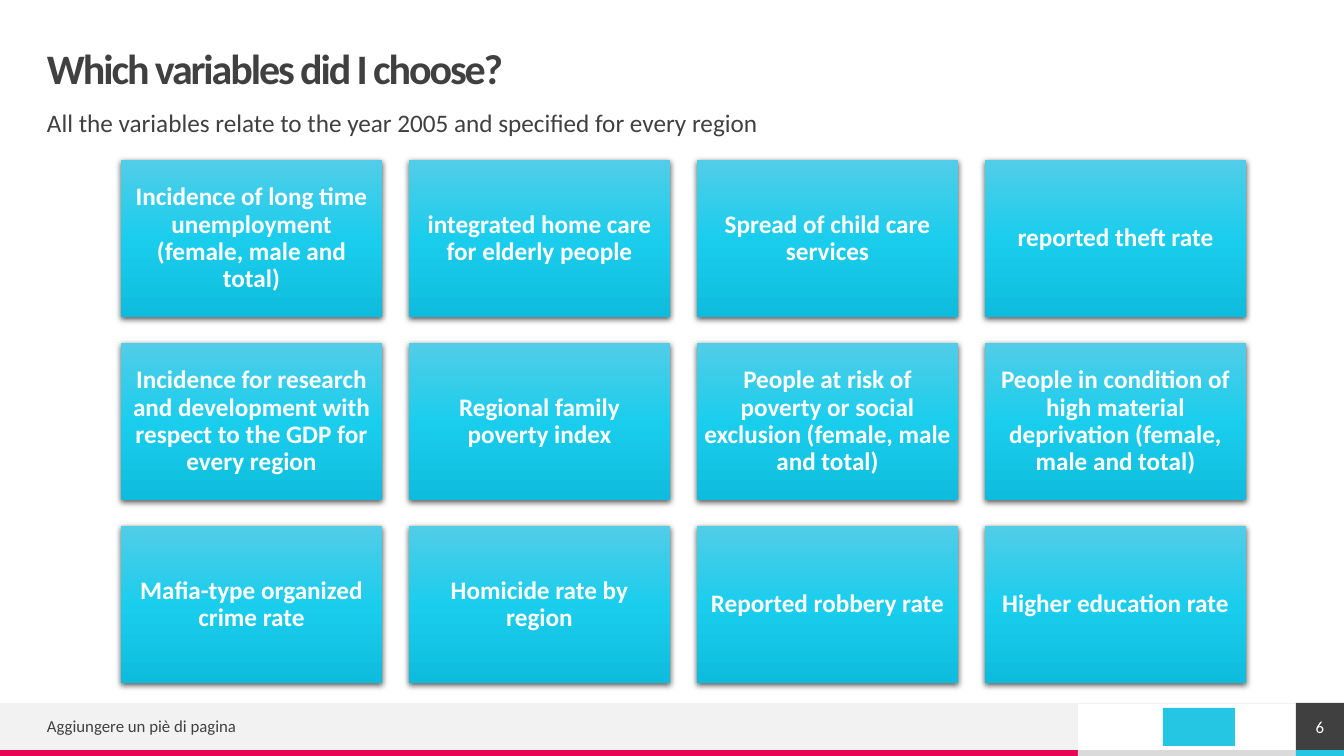
from copy import deepcopy

from lxml import etree
from pptx import Presentation
from pptx.dml.color import RGBColor
from pptx.enum.shapes import MSO_CONNECTOR, MSO_SHAPE
from pptx.enum.text import MSO_ANCHOR, MSO_AUTO_SIZE, PP_ALIGN
from pptx.oxml.ns import qn
from pptx.util import Pt

RECTANGLE = MSO_SHAPE.RECTANGLE
STRAIGHT = MSO_CONNECTOR.STRAIGHT
LEFT, CENTER = PP_ALIGN.LEFT, PP_ALIGN.CENTER
TOP, MIDDLE = MSO_ANCHOR.TOP, MSO_ANCHOR.MIDDLE
NO_FIT = MSO_AUTO_SIZE.NONE

WHITE = RGBColor(0xFF, 0xFF, 0xFF)
DARK = RGBColor(0x40, 0x40, 0x40)
PALE = RGBColor(0xF2, 0xF2, 0xF2)
GREY = RGBColor(0xDA, 0xDA, 0xDA)
PINK = RGBColor(0xE8, 0x05, 0x54)
CYAN = RGBColor(0x25, 0xC6, 0xE3)
CARD_STOPS = (
    (0, RGBColor(0x51, 0xCD, 0xE8)),
    (0.5, RGBColor(0x1B, 0xCD, 0xEC)),
    (1, RGBColor(0x0E, 0xBD, 0xDD)),
)

VARIABLES = (
    "Incidence of long time unemployment (female, male and total)",
    "integrated home care for elderly people",
    "Spread of child care services",
    "reported theft rate",
    "Incidence for research and development with respect to the GDP for every region",
    "Regional family poverty index",
    "People at risk of poverty or social exclusion (female, male and total)",
    "People in condition of high material deprivation (female, male and total)",
    "Mafia-type organized crime rate",
    "Homicide rate by region",
    "Reported robbery rate",
    "Higher education rate",
)


def px(length):
    return round(length * 914400 / 100.8)


class SlideBuilder:
    """Holds the slide and its style, and adds each kind of element."""

    font_name = "Calibri"

    def __init__(self, slide):
        self.slide = slide

    def set_text(self, shape, text, size, color=DARK, bold=False, align=LEFT,
                 anchor=MIDDLE, inset=0, line_spacing=1.0, tracking=0):
        frame = shape.text_frame
        frame.word_wrap = True
        frame.auto_size = NO_FIT
        frame.vertical_anchor = anchor
        frame.margin_left = frame.margin_right = px(inset)
        frame.margin_top = frame.margin_bottom = px(inset)
        paragraph = frame.paragraphs[0]
        paragraph.alignment = align
        paragraph.line_spacing = line_spacing
        paragraph.space_before = Pt(0)
        run = paragraph.add_run()
        run.text = text
        run.font.name = self.font_name
        run.font.size = Pt(size)
        run.font.bold = bold
        run.font.color.rgb = color
        if tracking:
            run.font._element.set("spc", str(round(tracking * 100)))

    def placeholder(self, index, left, top, width, height, text, size, **style):
        shape = self.slide.placeholders[index]
        shape.left, shape.top = px(left), px(top)
        shape.width, shape.height = px(width), px(height)
        self.set_text(shape, text, size, line_spacing=0.9, **style)
        return shape

    def title(self, *box, text):
        self.placeholder(0, *box, text, 30, bold=True, tracking=-1.5)

    def body(self, *box, text):
        shape = self.placeholder(1, *box, text, 18, anchor=TOP)
        properties = shape.text_frame.paragraphs[0]._p.get_or_add_pPr()
        properties.set("marL", "0")
        properties.set("indent", "0")
        etree.SubElement(properties, qn("a:buNone"))

    def label(self, *box, text):
        shape = self.slide.shapes.add_textbox(*map(px, box))
        self.set_text(shape, text, 12)

    def block(self, *box, color=None):
        shape = self.slide.shapes.add_shape(RECTANGLE, *map(px, box))
        shape.shadow.inherit = False
        shape.line.fill.background()
        if color is not None:
            shape.fill.solid()
            shape.fill.fore_color.rgb = color
        return shape

    def card(self, *box, text):
        shape = self.block(*box)
        shape.fill.gradient()
        shape.fill.gradient_angle = 270
        stop_list = shape._element.spPr.find(".//" + qn("a:gsLst"))
        stop_list.append(deepcopy(stop_list[0]))
        for stop, (position, color) in zip(shape.fill.gradient_stops, CARD_STOPS):
            stop.position = position
            stop.color.rgb = color
        effects = shape._element.spPr.find(qn("a:effectLst"))
        shadow = etree.SubElement(effects, qn("a:outerShdw"), blurRad="57150",
                                  dist="19050", dir="5400000", algn="ctr", rotWithShape="0")
        shadow_color = etree.SubElement(shadow, qn("a:srgbClr"), val="000000")
        etree.SubElement(shadow_color, qn("a:alpha"), val="63000")
        self.set_text(shape, text, 18, WHITE, bold=True, align=CENTER, inset=7, line_spacing=0.9)

    def rule(self, *ends, color, weight):
        line = self.slide.shapes.add_connector(STRAIGHT, *map(px, ends))
        line.line.color.rgb = color
        line.line.width = Pt(weight)
        etree.SubElement(line._element.spPr, qn("a:effectLst"))


def main():
    presentation = Presentation()
    presentation.slide_width, presentation.slide_height = px(1344), px(756)
    builder = SlideBuilder(presentation.slides.add_slide(presentation.slide_layouts[1]))

    builder.block(0, 703, 1078, 47, color=PALE)
    builder.block(0, 750, 1078, 6, color=PINK)
    builder.block(1078, 750, 218, 6, color=GREY)
    builder.block(1296, 750, 48, 6, color=CYAN)
    builder.rule(1344, 703, 0, 703, color=PALE, weight=0.5)
    builder.block(1163, 708, 72, 38, color=CYAN)

    builder.title(47, 47, 1250, 48, text="Which variables did I choose?")
    builder.body(47, 111, 1250, 39,
                 text="All the variables relate to the year 2005 and specified for every region")
    builder.label(47, 710, 624, 32, text="Aggiungere un piè di pagina")
    page_number = builder.block(1296, 703, 48, 47, color=DARK)
    builder.set_text(page_number, "6", 12, WHITE, align=CENTER)

    for index, variable in enumerate(VARIABLES):
        row, column = divmod(index, 4)
        builder.card(121 + 288 * column, 160 + 183 * row, 261, 157, text=variable)

    presentation.save("out.pptx")


if __name__ == "__main__":
    main()
